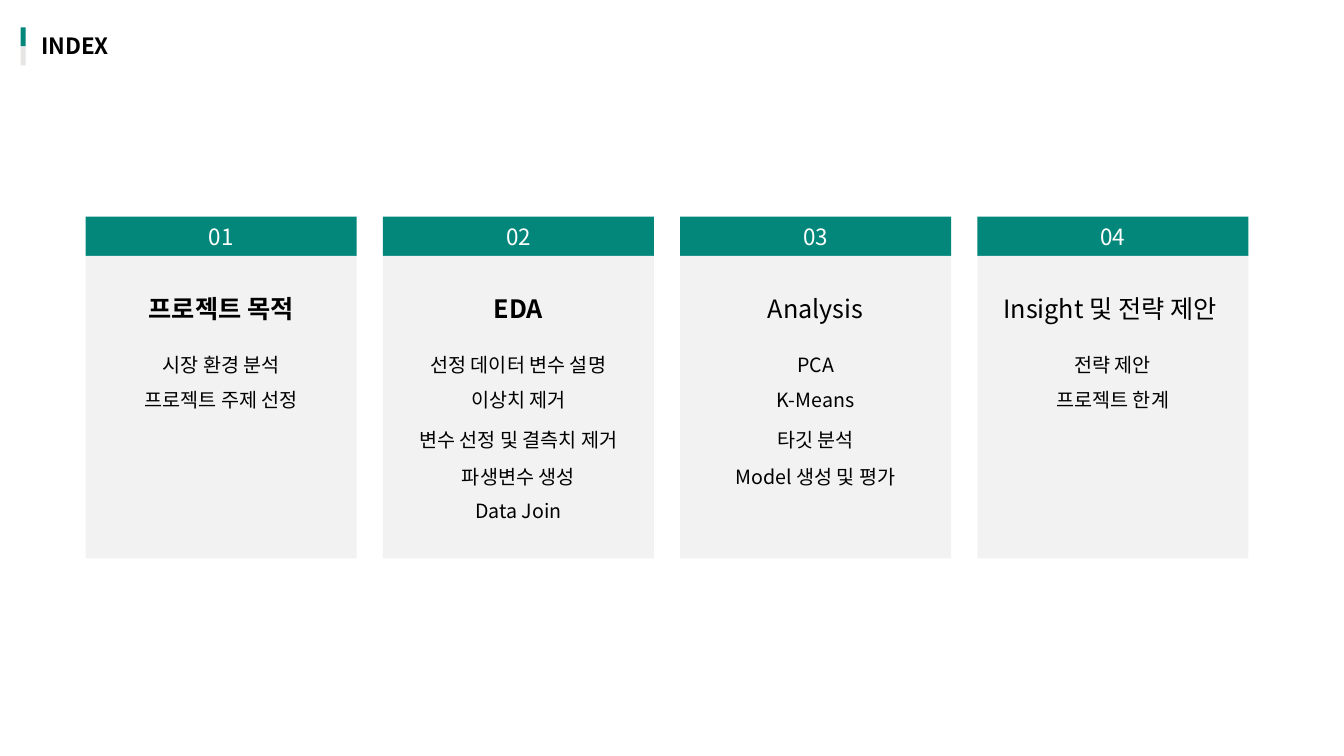
import pptx
import pptx.dml.color
import pptx.enum.shapes
import pptx.enum.text
import pptx.oxml
import pptx.oxml.ns
import pptx.util

Cm = pptx.util.Cm
Pt = pptx.util.Pt
ALIGN = pptx.enum.text.PP_ALIGN
ANCHOR = pptx.enum.text.MSO_ANCHOR

FONT = "Noto Sans CJK KR"
COLORS = {"green": "03877A", "silver": "E6E5E4", "panel": "F2F2F2",
          "black": "000000", "white": "FFFFFF"}

CARD_LEFT, CARD_PITCH, CARD_WIDTH = 2.16, 7.49, 6.83
HEADER_TOP, HEADER_HEIGHT, PANEL_HEIGHT = 5.46, 0.99, 7.62
LABEL_WIDTH = 7.16
TOPIC_TOPS = [8.76, 9.65, 10.67, 11.58, 12.45]

SECTIONS = [
    ("프로젝트 목적", True, ["시장 환경 분석", "프로젝트 주제 선정"]),
    ("EDA", True, ["선정 데이터 변수 설명", "이상치 제거", "변수 선정 및 결측치 제거",
                   "파생변수 생성", "Data Join"]),
    ("Analysis", False, ["PCA", "K-Means", "타깃 분석", "Model 생성 및 평가"]),
    ("Insight 및 전략 제안 ", False, ["전략 제안", "프로젝트 한계"]),
]


def rgb(color):
    return pptx.dml.color.RGBColor.from_string(COLORS[color])


def write(shape, text, size, color="black", bold=False, align=ALIGN.CENTER,
          anchor=ANCHOR.TOP):
    """Put one formatted line of text into the shape."""
    frame = shape.text_frame
    frame.word_wrap = True
    frame.vertical_anchor = anchor
    line = frame.paragraphs[0]
    line.alignment = align
    run = line.add_run()
    run.text = text
    formats = {"name": FONT, "size": Pt(size), "bold": bold}
    for attribute, value in formats.items():
        setattr(run.font, attribute, value)
    run.font.color.rgb = rgb(color)
    # Korean characters take their typeface from a:ea
    east_asian = pptx.oxml.parse_xml(
        f'<a:ea {pptx.oxml.ns.nsdecls("a")} typeface="{FONT}"/>')
    run.font._element.append(east_asian)


def add_block(slide, left, top, width, height, color):
    block = slide.shapes.add_shape(
        pptx.enum.shapes.MSO_SHAPE.RECTANGLE,
        Cm(left), Cm(top), Cm(width), Cm(height))
    block.shadow.inherit = False
    block.fill.solid()
    block.fill.fore_color.rgb = rgb(color)
    block.line.fill.background()
    return block


def add_label(slide, left, top, width, height, text, size, **formats):
    label = slide.shapes.add_textbox(Cm(left), Cm(top), Cm(width), Cm(height))
    write(label, text, size, **formats)


def add_title(slide):
    for top, color in [(0.69, "green"), (1.17, "silver")]:
        add_block(slide, 0.52, top, 0.13, 0.48, color)
    add_label(slide, 0.79, 0.69, 5.82, 0.94, "INDEX", 16, bold=True, align=ALIGN.LEFT)


def add_card(slide, number, heading, bold, topics):
    left = CARD_LEFT + (number - 1) * CARD_PITCH
    header = add_block(slide, left, HEADER_TOP, CARD_WIDTH, HEADER_HEIGHT, "green")
    write(header, f"{number:02}", 16, color="white", anchor=ANCHOR.MIDDLE)
    add_block(slide, left, HEADER_TOP + HEADER_HEIGHT, CARD_WIDTH, PANEL_HEIGHT, "panel")

    label_left = left + (CARD_WIDTH - LABEL_WIDTH) / 2
    add_label(slide, label_left, 7.26, LABEL_WIDTH, 1.02, heading, 18, bold=bold)
    for top, topic in zip(TOPIC_TOPS, topics):
        add_label(slide, label_left, top, LABEL_WIDTH, 0.86, topic, 14)


def main():
    deck = pptx.Presentation()
    deck.slide_width, deck.slide_height = Cm(33.87), Cm(19.05)
    slide = deck.slides.add_slide(deck.slide_layouts[6])
    add_title(slide)
    for number, section in enumerate(SECTIONS, 1):
        add_card(slide, number, *section)
    deck.save("out.pptx")


if __name__ == "__main__":
    main()
